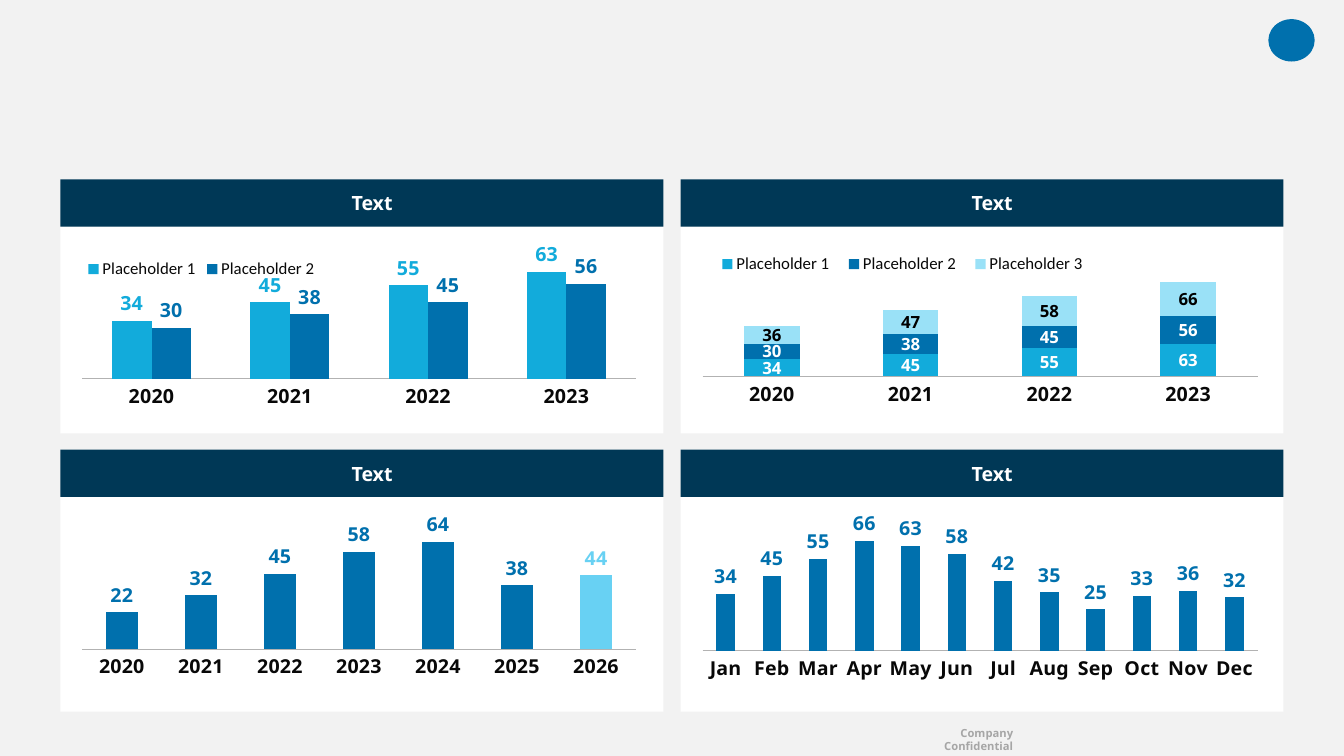
from pptx import Presentation
from pptx.chart.data import CategoryChartData
from pptx.dml.color import RGBColor
from pptx.enum.chart import XL_CHART_TYPE, XL_LABEL_POSITION, XL_LEGEND_POSITION, XL_TICK_MARK
from pptx.enum.shapes import MSO_SHAPE
from pptx.enum.text import MSO_ANCHOR, PP_ALIGN
from pptx.oxml import parse_xml
from pptx.oxml.ns import nsdecls, qn
from pptx.util import Inches, Pt

NAVY, BLUE, CYAN, SKY, PALE = "003856", "0070AD", "12ABDB", "68D1F3", "9AE1F7"
WHITE, BLACK, INK, GRAY = "FFFFFF", "000000", "080808", "A6A6A6"


def rgb(code):
    return RGBColor.from_string(code)


def place(node, after, box, inner=False):
    """Set a manual layout inside a chart, as fractions of its area."""
    for old in node.findall(qn("c:layout")):
        node.remove(old)
    target = '<c:layoutTarget val="inner"/>' if inner else ""
    x, y, w, h = box
    layout = parse_xml(
        f'<c:layout {nsdecls("c")}><c:manualLayout>{target}'
        '<c:xMode val="edge"/><c:yMode val="edge"/>'
        f'<c:x val="{x}"/><c:y val="{y}"/><c:w val="{w}"/><c:h val="{h}"/>'
        '</c:manualLayout></c:layout>')
    node.insert(after, layout)


class Deck:
    font = "Noto Sans"

    def __init__(self, slide):
        self.slide = slide
        self.shapes = slide.shapes

    def style(self, font, size, color, bold=False, name=None):
        font.name, font.size, font.bold = name or self.font, Pt(size), bold
        font.color.rgb = rgb(color)

    def paint(self, item, color):
        item.fill.solid()
        item.fill.fore_color.rgb = rgb(color)

    def shape(self, box, fill, kind=MSO_SHAPE.RECTANGLE):
        shape = self.shapes.add_shape(kind, *map(Inches, box))
        shape.shadow.inherit = False
        self.paint(shape, fill)
        shape.line.fill.background()
        return shape

    def label(self, shape, text, size, color, align, left=0):
        frame = shape.text_frame
        frame.word_wrap = True
        frame.vertical_anchor = MSO_ANCHOR.MIDDLE
        frame.margin_left = Inches(left)
        frame.margin_top = frame.margin_right = frame.margin_bottom = 0
        para = frame.paragraphs[0]
        para.alignment = align
        run = para.add_run()
        run.text = text
        self.style(run.font, size, color, True)

    def text(self, box, text, size, color, align):
        self.label(self.shapes.add_textbox(*map(Inches, box)), text, size, color, align)

    def panel(self, x, y, high, title):
        self.shape((x, y + 0.47, 5.98, high), WHITE)
        head = self.shape((x, y, 5.98, 0.47), NAVY)
        self.label(head, title, 14, WHITE, PP_ALIGN.CENTER, 0.2)

    def chart(self, box, cats, rows, top, plot, legend=None, stack=False):
        """Each row is name, values, bar colour, label colour."""
        data = CategoryChartData()
        data.categories = cats
        for name, vals, _, _ in rows:
            data.add_series(name, vals)
        kind = XL_CHART_TYPE.COLUMN_STACKED if stack else XL_CHART_TYPE.COLUMN_CLUSTERED
        chart = self.shapes.add_chart(kind, *map(Inches, box), data).chart
        chart.has_title = False
        self.style(chart.font, 18, BLACK)

        # Axes
        axis = chart.category_axis
        axis.major_tick_mark = axis.minor_tick_mark = XL_TICK_MARK.NONE
        axis.format.line.color.rgb = rgb("B2B2B2")
        axis.format.line.width = Pt(0.75)
        self.style(axis.tick_labels.font, 14, INK, True)
        value = chart.value_axis
        value.has_major_gridlines = False
        value.minimum_scale, value.maximum_scale = 0, top
        value.visible = False

        # Bars and labels
        bars = chart.plots[0]
        bars.gap_width, bars.overlap = 150, 100 if stack else 0
        bars.vary_by_categories = False
        for series, (_, _, fill, ink) in zip(bars.series, rows):
            self.paint(series.format, fill)
            labels = series.data_labels
            labels.show_value = True
            labels.position = XL_LABEL_POSITION.CENTER if stack else XL_LABEL_POSITION.OUTSIDE_END
            self.style(labels.font, 12 if stack else 14, ink, True)

        # Placement of plot and legend
        place(chart._chartSpace.chart.plotArea, 0, plot, inner=True)
        chart.has_legend = legend is not None
        if legend:
            key = chart.legend
            key.position = XL_LEGEND_POSITION.TOP
            key.include_in_layout = True
            self.style(key.font, 12, INK, name="Calibri")
            place(key._element, 1, legend)
        return chart

    def accent(self, chart, index, color):
        point = chart.plots[0].series[0].points[index]
        self.paint(point.format, color)
        mark = point.data_label
        self.style(mark.font, 14, color, True)
        mark.position = XL_LABEL_POSITION.OUTSIDE_END


show = Presentation()
show.slide_width, show.slide_height = Inches(13.33), Inches(7.5)
slide = show.slides.add_slide(show.slide_layouts[6])
deck = Deck(slide)
deck.paint(slide.background, "F2F2F2")

# Corner mark and footer
deck.shape((12.58, 0.19, 0.46, 0.42), BLUE, MSO_SHAPE.OVAL)
deck.text((9.05, 7.27, 1, 0.13), "Company Confidential", 8, GRAY, PP_ALIGN.RIGHT)

# Four panels
for y, high in ((1.78, 2.05), (4.46, 2.13)):
    for x in (0.6, 6.75):
        deck.panel(x, y, high, "Text")

# Upper charts
years = [str(year) for year in range(2020, 2027)]
first, second, third = [34, 45, 55, 63], [30, 38, 45, 56], [36, 47, 58, 66]
deck.chart((0.64, 2.39, 5.9, 1.77), years[:4],
           [("Placeholder 1", first, CYAN, CYAN), ("Placeholder 2", second, BLUE, BLUE)],
           73, (0.03, 0.07, 0.93, 0.7), (0.03, 0.09, 0.4, 0.12))
deck.chart((6.79, 2.39, 5.92, 1.77), years[:4],
           [("Placeholder 1", first, CYAN, WHITE), ("Placeholder 2", second, BLUE, WHITE),
            ("Placeholder 3", third, PALE, BLACK)],
           200, (0.03, 0.19, 0.93, 0.57), (0.04, 0.07, 0.65, 0.12), stack=True)

# Lower charts
yearly = deck.chart((0.64, 5.07, 5.9, 1.77), years,
                    [("Series 1", [22, 32, 45, 58, 64, 38, 44], BLUE, BLUE)],
                    73, (0.03, 0.07, 0.93, 0.7))
deck.accent(yearly, 6, SKY)
months = "Jan Feb Mar Apr May Jun Jul Aug Sep Oct Nov Dec".split()
deck.chart((6.79, 5.06, 5.92, 1.78), months,
           [("Series 1", [34, 45, 55, 66, 63, 58, 42, 35, 25, 33, 36, 32], BLUE, BLUE)],
           74.5, (0.03, 0.07, 0.93, 0.71))

show.save("out.pptx")
